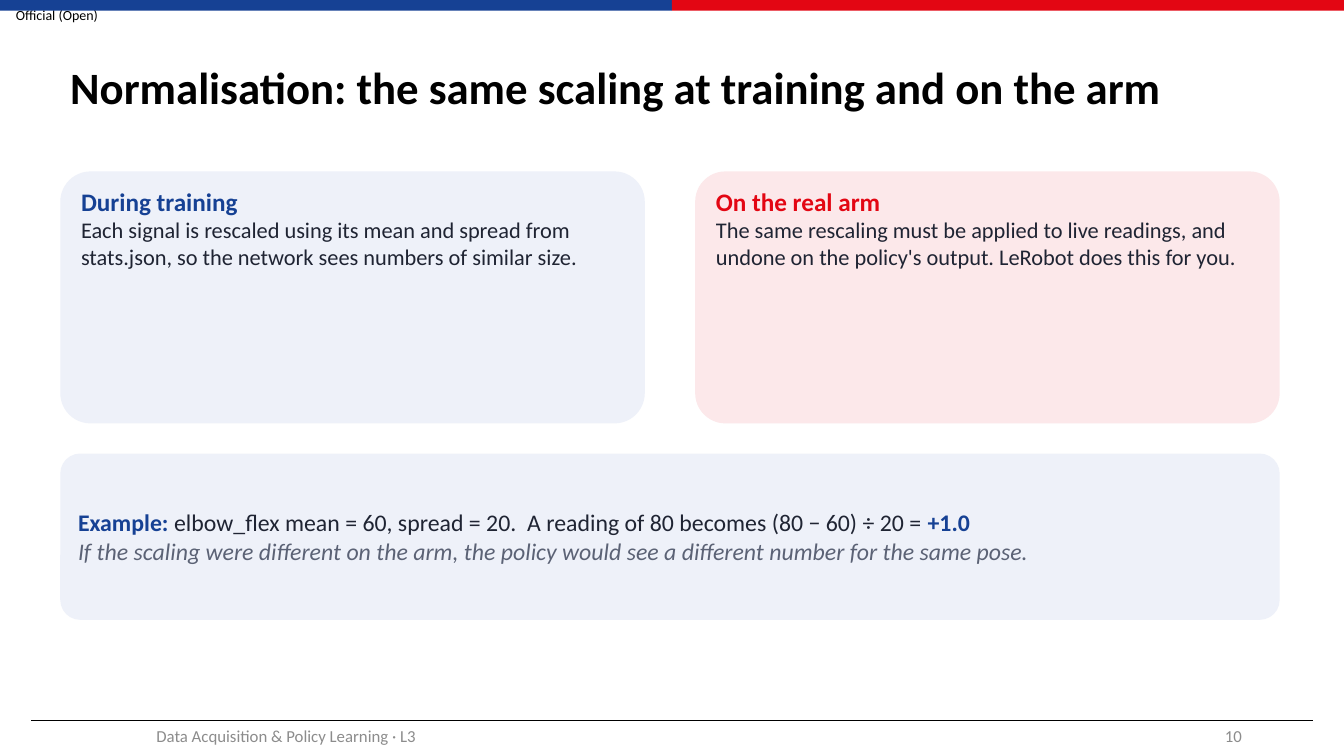
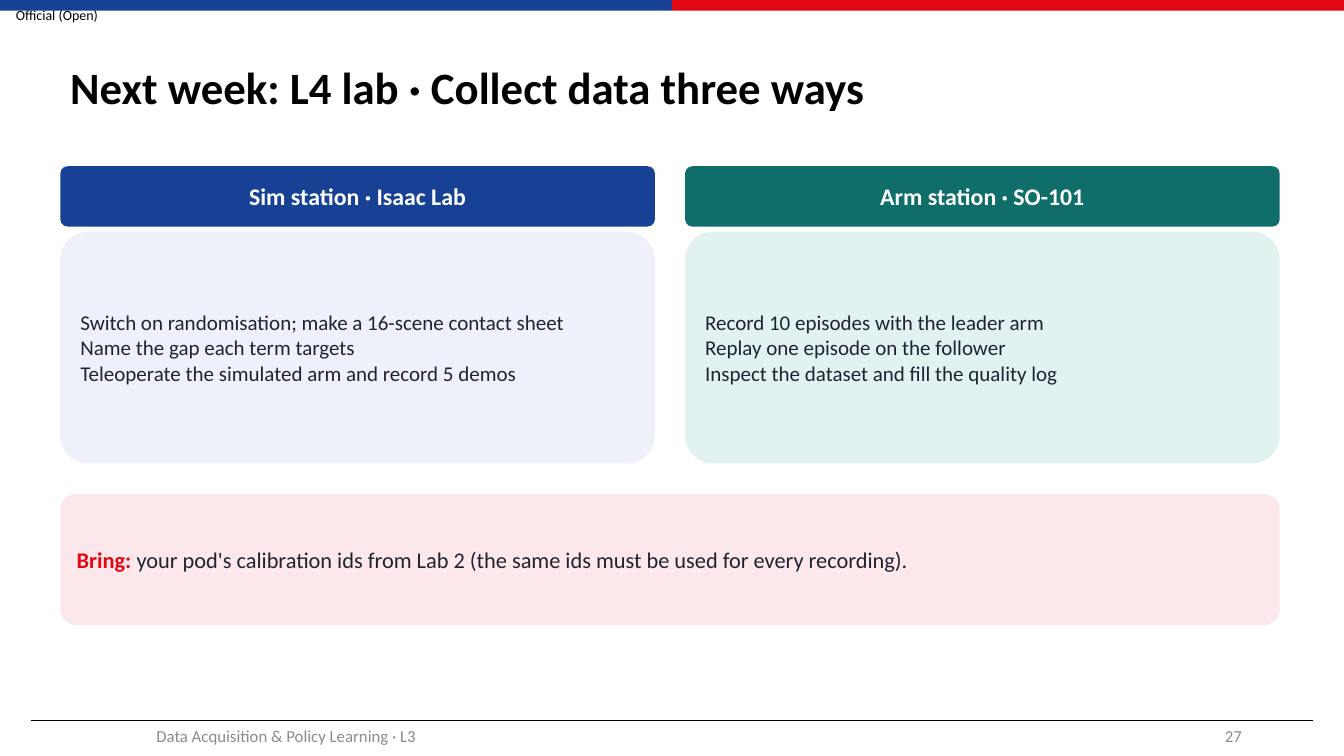
"""Build two lecture slides on data scaling and the coming lab."""
from dataclasses import dataclass

from lxml.etree import SubElement
from pptx import Presentation
from pptx.dml.color import RGBColor
from pptx.enum.shapes import MSO_CONNECTOR as Link, MSO_SHAPE as Form
from pptx.enum.text import MSO_ANCHOR as Anchor, MSO_AUTO_SIZE as Fit, PP_ALIGN as Align
from pptx.oxml.ns import qn
from pptx.util import Cm, Pt


@dataclass(frozen=True)
class Theme:
    """Colours, type sizes and the page grid."""
    font: str = "Calibri"
    black: str = "000000"
    white: str = "FFFFFF"
    blue: str = "164194"
    red: str = "E30613"
    teal: str = "0F6E6A"
    ink: str = "1F2433"
    slate: str = "5B6275"
    grey: str = "8C8C8C"
    sky: str = "EEF1F9"
    rose: str = "FCE8EA"
    mint: str = "E2F2F1"
    title: float = 32
    head: float = 18
    strong: float = 17
    body: float = 16
    list: float = 15
    foot: float = 12
    mark: float = 10
    rule: float = 0.5
    wide: float = 33.87
    high: float = 19.05
    edge: float = 1.52
    span: float = 30.73


T = Theme()
MARK = "Official (Open)"
FOOT = "Data Acquisition & Policy Learning · L3"


def para(size, *runs, align=Align.LEFT):
    """Describe a paragraph whose runs are (text, colour, style letters)."""
    return size, align, runs


def steps(*lines):
    """Describe one plain paragraph for each line."""
    return [para(T.list, (line, T.ink, "")) for line in lines]


def banner(text):
    """Describe a centred heading."""
    return [para(T.strong, (text, T.white, "b"), align=Align.CENTER)]


SLIDES = [
    {"title": "Normalisation: the same scaling at training and on the arm",
     "page": "10",
     "rows": [
         {"top": 4.32, "high": 6.35, "gap": 1.27, "anchor": Anchor.TOP, "cells": [
             (T.sky, [
                 para(T.head, ("During training", T.blue, "b")),
                 para(T.body, ("Each signal is rescaled using its mean and spread from "
                               "stats.json, so the network sees numbers of similar size.",
                               T.ink, ""))]),
             (T.rose, [
                 para(T.head, ("On the real arm", T.red, "b")),
                 para(T.body, ("The same rescaling must be applied to live readings, and "
                               "undone on the policy's output. LeRobot does this for you.",
                               T.ink, ""))])]},
         {"top": 11.43, "high": 4.19, "cells": [
             (T.sky, [
                 para(T.strong, ("Example: ", T.blue, "b"),
                      ("elbow_flex mean = 60, spread = 20.  A reading of 80 becomes "
                       "(80 − 60) ÷ 20 = ", T.ink, ""),
                      ("+1.0", T.blue, "b")),
                 para(T.strong, ("If the scaling were different on the arm, the policy would "
                                 "see a different number for the same pose.",
                                 T.slate, "i"))])]}]},
    {"title": "Next week: L4 lab · Collect data three ways",
     "page": "27",
     "rows": [
         {"top": 4.19, "high": 1.52, "gap": 0.76, "cells": [
             (T.blue, banner("Sim station · Isaac Lab")),
             (T.teal, banner("Arm station · SO-101"))]},
         {"top": 5.84, "high": 5.84, "gap": 0.76, "cells": [
             (T.sky, steps("Switch on randomisation; make a 16-scene contact sheet",
                           "Name the gap each term targets",
                           "Teleoperate the simulated arm and record 5 demos")),
             (T.mint, steps("Record 10 episodes with the leader arm",
                            "Replay one episode on the follower",
                            "Inspect the dataset and fill the quality log"))]},
         {"top": 12.45, "high": 3.3, "cells": [
             (T.rose, [
                 para(T.body, ("Bring: ", T.red, "b"),
                      ("your pod's calibration ids from Lab 2 (the same ids must be "
                       "used for every recording).", T.ink, ""))])]}]},
]


def tint(code):
    """Turn a hex code into a colour."""
    return RGBColor.from_string(code)


def write(frame, paras, anchor=Anchor.MIDDLE, pad=(0.25, 0.13)):
    """Fill a text frame with paragraphs, run by run."""
    frame.word_wrap = True
    frame.auto_size = Fit.NONE
    frame.vertical_anchor = anchor
    frame.margin_left = frame.margin_right = Cm(pad[0])
    frame.margin_top = frame.margin_bottom = Cm(pad[1])
    for i, (size, align, runs) in enumerate(paras):
        line = frame.add_paragraph() if i else frame.paragraphs[0]
        line.alignment = align
        for text, code, style in runs:
            run = line.add_run()
            run.text = text
            font = run.font
            font.name, font.size = T.font, Pt(size)
            font.bold, font.italic = "b" in style, "i" in style
            font.color.rgb = tint(code)


def block(slide, form, box, fill):
    """Draw a plain filled shape."""
    shape = slide.shapes.add_shape(form, *map(Cm, box))
    shape.shadow.inherit = False
    shape.fill.solid()
    shape.fill.fore_color.rgb = tint(fill)
    shape.line.fill.background()
    return shape


def label(slide, box, size, text, code, align, **room):
    """Add a small one-line text box."""
    frame = slide.shapes.add_textbox(*map(Cm, box)).text_frame
    write(frame, [para(size, (text, code, ""), align=align)], **room)


def frame_page(slide, title, page):
    """Add the title, bands, rule and footer."""
    label(slide, (0, 0, 2.87, 0.74), T.mark, MARK, T.black, Align.CENTER, pad=(0, 0))
    half = T.wide / 2
    for i, code in enumerate((T.blue, T.red)):
        block(slide, Form.RECTANGLE, (i * half, 0, half, 0.27), code)
    rule = slide.shapes.add_connector(Link.STRAIGHT, Cm(0.79), Cm(18.14), Cm(33.1), Cm(18.14))
    rule.line.color.rgb = tint(T.black)
    rule.line.width = Pt(T.rule)
    SubElement(rule._element.spPr, qn("a:effectLst"))
    head = slide.shapes.title
    head.left, head.top, head.width, head.height = map(Cm, (T.edge, 0.76, 30.68, 3))
    write(head.text_frame, [para(T.title, (title, T.black, "b"))])
    head.text_frame.paragraphs[0].line_spacing = 0.9
    label(slide, (1.5, 18.03, 11.43, 1.02), T.foot, FOOT, T.grey, Align.CENTER)
    label(slide, (23.93, 18.03, 7.62, 1.02), T.foot, page, T.grey, Align.RIGHT)


def card_row(slide, top, high, cells, gap=0, anchor=Anchor.MIDDLE):
    """Share the page width equally among rounded cards."""
    wide = (T.span - gap * (len(cells) - 1)) / len(cells)
    for i, (fill, paras) in enumerate(cells):
        box = T.edge + i * (wide + gap), top, wide, high
        card = block(slide, Form.ROUNDED_RECTANGLE, box, fill)
        card.adjustments[0] = 0.12
        write(card.text_frame, paras, anchor, pad=(0.3, 0.15))


def main():
    """Build and save the deck."""
    deck = Presentation()
    deck.slide_width, deck.slide_height = Cm(T.wide), Cm(T.high)
    for item in SLIDES:
        slide = deck.slides.add_slide(deck.slide_layouts[5])
        frame_page(slide, item["title"], item["page"])
        for row in item["rows"]:
            card_row(slide, **row)
    deck.save("out.pptx")


if __name__ == "__main__":
    main()
